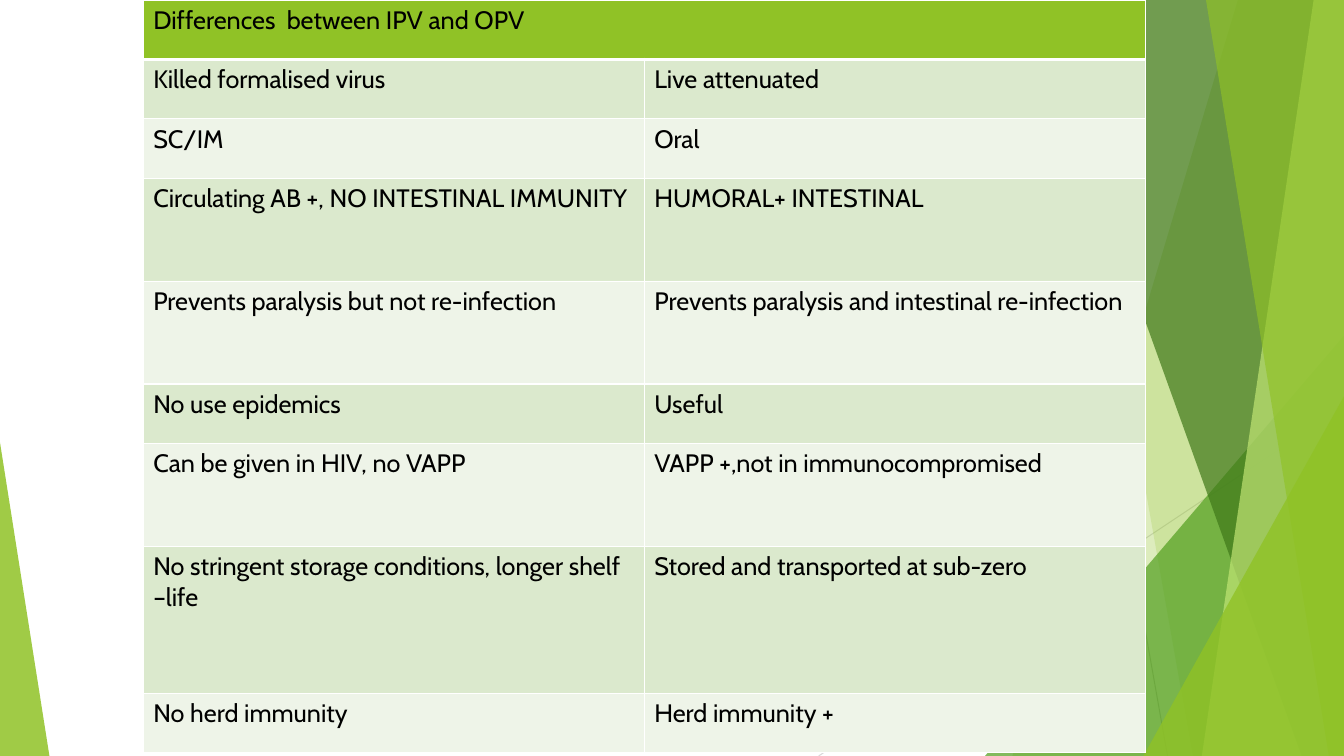
from lxml import etree
from pptx import Presentation
from pptx.dml.color import RGBColor
from pptx.enum.shapes import MSO_CONNECTOR as Connector, MSO_SHAPE as Shape
from pptx.oxml.ns import qn
from pptx.util import Inches, Pt

COLORS = {
    "text": "000000", "border": "FFFFFF",
    "header": "90C226", "band_dark": "DBE9CD", "band_light": "EEF4E8",
    "line_dark": "BFBFBF", "line_light": "D9D9D9",
    "lime": "90C226", "green": "54A021", "forest": "3F7819", "pale": "C0E474",
}


def paint(shape, color, opacity):
    shape.shadow.inherit = False
    shape.line.fill.background()
    shape.fill.solid()
    shape.fill.fore_color.rgb = RGBColor.from_string(COLORS[color])
    tint = shape.fill._xPr.find(".//" + qn("a:srgbClr"))
    etree.SubElement(tint, qn("a:alpha"), val=str(opacity * 1000))


def add_borders(cell, bottom_width):
    properties = cell._tc.get_or_add_tcPr()
    widths = {"lnL": 1, "lnR": 1, "lnT": 1, "lnB": bottom_width}
    for position, (side, width) in enumerate(widths.items()):
        border = etree.Element(qn("a:" + side), w=str(Pt(width)))
        fill = etree.SubElement(border, qn("a:solidFill"))
        etree.SubElement(fill, qn("a:srgbClr"), val=COLORS["border"])
        properties.insert(position, border)


deck = Presentation()
deck.slide_width, deck.slide_height = Inches(13.33), Inches(7.5)
page = deck.slides.add_slide(deck.slide_layouts[6])

# Thin lines behind the facets
for x1, y1, x2, y2, color in [
    (10.25, 0, 11.58, 7.5, "line_dark"),
    (13.33, 4.03, 8.12, 7.5, "line_light"),
]:
    line = page.shapes.add_connector(
        Connector.STRAIGHT, Inches(x1), Inches(y1), Inches(x2), Inches(y2))
    line.line.color.rgb = RGBColor.from_string(COLORS[color])
    line.line.width = Pt(0.75)
    etree.SubElement(line._element.spPr, qn("a:effectLst"))

# Facets, back to front: a band runs from its top left and bottom left
# corners to the right edge; a triangle has a box and an apex position
FACETS = [
    ("band", (12.28, 10.04), "lime", 30),
    ("band", (10.5, 11.83), "lime", 20),
    ("triangle", (9.77, 3.33, 3.56, 4.17, 1), "green", 72),
    ("band", (10.21, 12.91), "forest", 70),
    ("band", (13.03, 11.92), "pale", 70),
    ("band", (11.96, 13.18), "lime", 65),
    ("triangle", (11.34, 3.93, 1.99, 3.57, 1), "lime", 80),
    ("triangle", (0, 4.39, 0.49, 3.11, 0), "lime", 85),
]
for kind, geometry, color, opacity in FACETS:
    if kind == "band":
        top_left, bottom_left = geometry
        corners = [(13.33, -0.01), (13.33, 7.5), (bottom_left, 7.5)]
        outline = page.shapes.build_freeform(Inches(top_left), Inches(-0.01))
        outline.add_line_segments([(Inches(x), Inches(y)) for x, y in corners])
        facet = outline.convert_to_shape()
    else:
        *bounds, apex = geometry
        facet = page.shapes.add_shape(
            Shape.ISOSCELES_TRIANGLE, *[Inches(value) for value in bounds])
        facet.adjustments[0] = apex
    paint(facet, color, opacity)

# Comparison table: row height, IPV, OPV
ROWS = [
    (0.59, "Differences  between IPV and OPV", ""),
    (0.59, "Killed formalised virus", "Live attenuated"),
    (0.59, "SC/IM", "Oral"),
    (1.02, "Circulating AB +, NO INTESTINAL IMMUNITY", "HUMORAL+ INTESTINAL"),
    (1.02, "Prevents paralysis but not re-infection",
     "Prevents paralysis and intestinal re-infection"),
    (0.59, "No use epidemics", "Useful"),
    (1.02, "Can be given in HIV, no VAPP", "VAPP +,not in immunocompromised"),
    (1.46, "No stringent storage conditions, longer shelf –life",
     "Stored and transported at sub-zero"),
    (0.59, "No herd immunity", "Herd immunity +"),
]
table = page.shapes.add_table(
    len(ROWS), 2, Inches(1.42), 0, Inches(9.95), Inches(7.5)).table
for column in table.columns:
    column.width = Inches(4.97)
table.cell(0, 0).merge(table.cell(0, 1))

for index, (height, *texts) in enumerate(ROWS):
    table.rows[index].height = Inches(height)
    if index == 0:
        color = "header"
    else:
        color = "band_dark" if index % 2 else "band_light"
    for cell, text in zip(table.rows[index].cells, texts):
        cell.fill.solid()
        cell.fill.fore_color.rgb = RGBColor.from_string(COLORS[color])
        add_borders(cell, 1 if index else 3)
        if not text:
            continue
        cell.text_frame.text = text
        font = cell.text_frame.paragraphs[0].runs[0].font
        font.name, font.size, font.bold = "Cabin", Pt(18), False
        font.color.rgb = RGBColor.from_string(COLORS["text"])

deck.save("out.pptx")
